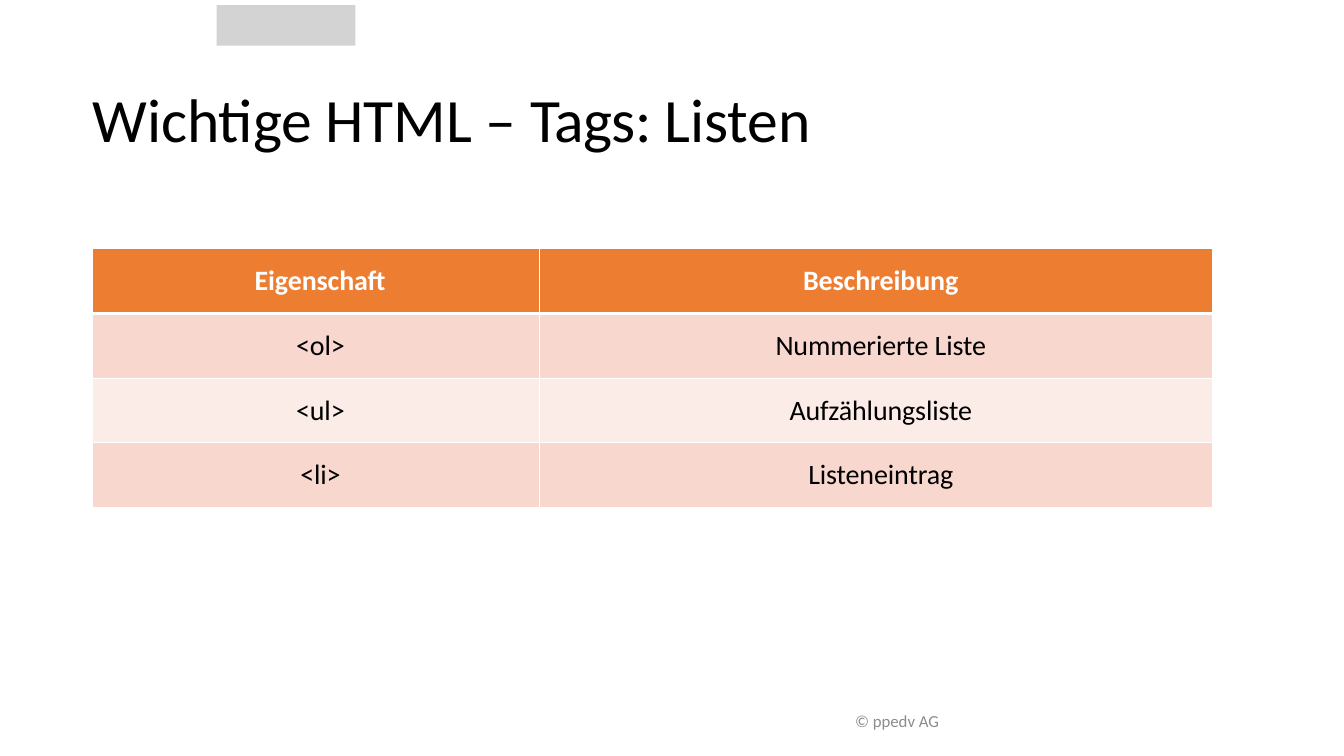
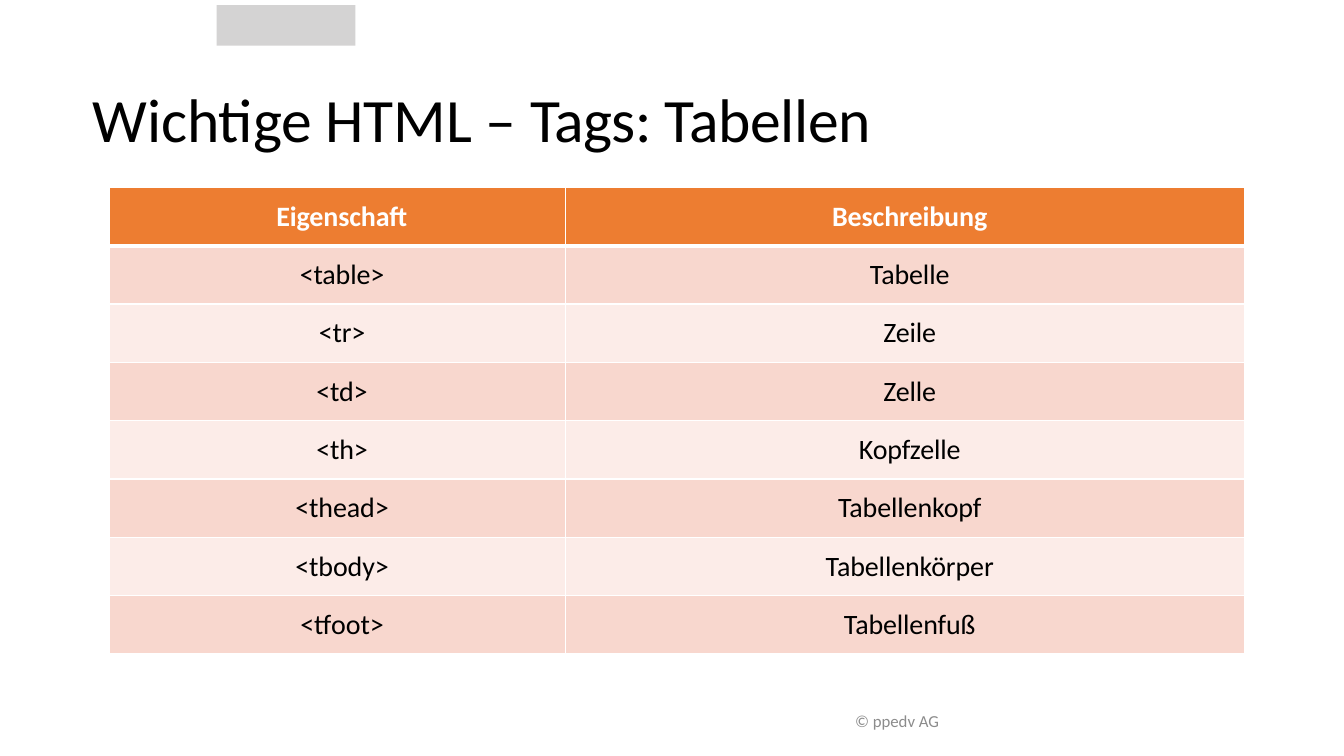
import pptx
import pptx.dml.color
import pptx.enum.shapes
import pptx.enum.text
import pptx.oxml.ns
import pptx.util
from lxml import etree

Cm, Pt = pptx.util.Cm, pptx.util.Pt
ALIGN = pptx.enum.text.PP_ALIGN
MIDDLE = pptx.enum.text.MSO_ANCHOR.MIDDLE

# Content: topic with its letter spacing, table place (cm) and rows
TITLE_START = [("Wichtige HTML – ", -0.1), ("Tags: ", -0.6)]
HEADER = ("Eigenschaft", "Beschreibung")
FOOTER = "© ppedv AG"
SLIDES = [
    {
        "topic": ("Listen", -0.1),
        "left": 2.33, "top": 6.27, "columns": (11.26, 16.98), "row_height": 1.63,
        "tags": [
            ("<ol>", "Nummerierte Liste"),
            ("<ul>", "Aufzählungsliste"),
            ("<li>", "Listeneintrag"),
        ],
    },
    {
        "topic": ("Tabellen", -0.3),
        "left": 2.75, "top": 4.72, "columns": (11.51, 17.1), "row_height": 1.47,
        "tags": [
            ("<table>", "Tabelle"),
            ("<tr>", "Zeile"),
            ("<td>", "Zelle"),
            ("<th>", "Kopfzelle"),
            ("<thead>", "Tabellenkopf"),
            ("<tbody>", "Tabellenkörper"),
            ("<tfoot>", "Tabellenfuß"),
        ],
    },
]

# Shared style
FONT = "Calibri"
BLACK, WHITE, FOOTER_GREY, BAND_GREY = "000000", "FFFFFF", "8C8C8C", "D4D3D3"
HEADER_FILL, ROW_FILLS = "ED7D31", ("F8D7CE", "FCECE8")
MARGIN_LEFT = Cm(2.33)


def rgb(value):
    return pptx.dml.color.RGBColor.from_string(value)


def style(paragraph, size, color, bold=False, align=ALIGN.LEFT):
    paragraph.alignment = align
    font = paragraph.font
    font.name, font.size, font.bold = FONT, Pt(size), bold
    font.color.rgb = rgb(color)


def add_run(paragraph, text, spacing):
    run = paragraph.add_run()
    run.text = text
    run._r.get_or_add_rPr().set("spc", str(round(spacing * 100)))


def no_margins(box):
    box.margin_left = box.margin_top = box.margin_right = box.margin_bottom = 0


def set_borders(cell, top, bottom):
    properties = cell._tc.get_or_add_tcPr()
    for side, width in (("L", 1), ("R", 1), ("T", top), ("B", bottom)):
        line = etree.SubElement(properties, pptx.oxml.ns.qn(f"a:ln{side}"), w=str(Pt(width)))
        fill = etree.SubElement(line, pptx.oxml.ns.qn("a:solidFill"))
        etree.SubElement(fill, pptx.oxml.ns.qn("a:srgbClr"), val=WHITE)


def prepare_layout(layout, slide):
    # Title place and frame, inherited by every slide
    title = layout.placeholders[0]
    title.left, title.top, title.width, title.height = MARGIN_LEFT, Cm(2.03), Cm(29.21), Cm(1.88)
    frame = title.text_frame
    no_margins(frame)
    frame.vertical_anchor = MIDDLE
    frame.auto_size = pptx.enum.text.MSO_AUTO_SIZE.SHAPE_TO_FIT_TEXT

    # Grey band, moved from the slide to its layout
    band = slide.shapes.add_shape(
        pptx.enum.shapes.MSO_SHAPE.RECTANGLE, Cm(5.46), Cm(0.13), Cm(3.5), Cm(1.02))
    band.shadow.inherit = False
    band.fill.solid()
    band.fill.fore_color.rgb = rgb(BAND_GREY)
    band.line.fill.background()
    layout.element.cSld.spTree.append(band.element)


def add_title(slide, topic):
    paragraph = slide.shapes.title.text_frame.paragraphs[0]
    for text, spacing in TITLE_START + [topic]:
        add_run(paragraph, text, spacing)
    style(paragraph, 44, BLACK)


def add_tag_table(slide, content):
    rows = [HEADER] + content["tags"]
    columns, row_height = content["columns"], Cm(content["row_height"])
    table = slide.shapes.add_table(
        len(rows), len(columns), Cm(content["left"]), Cm(content["top"]),
        Cm(sum(columns)), row_height * len(rows)).table
    for column, width in zip(table.columns, columns):
        column.width = Cm(width)
    for r, texts in enumerate(rows):
        is_header = r == 0
        table.rows[r].height = row_height
        for c, text in enumerate(texts):
            cell = table.cell(r, c)
            no_margins(cell)
            cell.vertical_anchor = MIDDLE
            set_borders(cell, top=3 if r == 1 else 1, bottom=3 if is_header else 1)
            cell.fill.solid()
            cell.fill.fore_color.rgb = rgb(HEADER_FILL if is_header else ROW_FILLS[(r - 1) % 2])
            paragraph = cell.text_frame.paragraphs[0]
            paragraph._p.get_or_add_pPr().set("marL", str(Cm(0.23)))
            add_run(paragraph, text, -0.1)
            style(paragraph, 20, WHITE if is_header else BLACK, is_header, ALIGN.CENTER)


def add_footer(slide):
    frame = slide.shapes.add_textbox(MARGIN_LEFT, Cm(17.65), Cm(21.59), Cm(1.02)).text_frame
    frame.word_wrap = True
    frame.vertical_anchor = MIDDLE
    paragraph = frame.paragraphs[0]
    paragraph.text = FOOTER
    style(paragraph, 12, FOOTER_GREY, align=ALIGN.RIGHT)


def main():
    deck = pptx.Presentation()
    deck.slide_width, deck.slide_height = Cm(33.87), Cm(19.05)
    layout = deck.slide_layouts[5]
    for number, content in enumerate(SLIDES):
        slide = deck.slides.add_slide(layout)
        if number == 0:
            prepare_layout(layout, slide)
        add_title(slide, content["topic"])
        add_tag_table(slide, content)
        add_footer(slide)
    deck.save("out.pptx")


if __name__ == "__main__":
    main()
